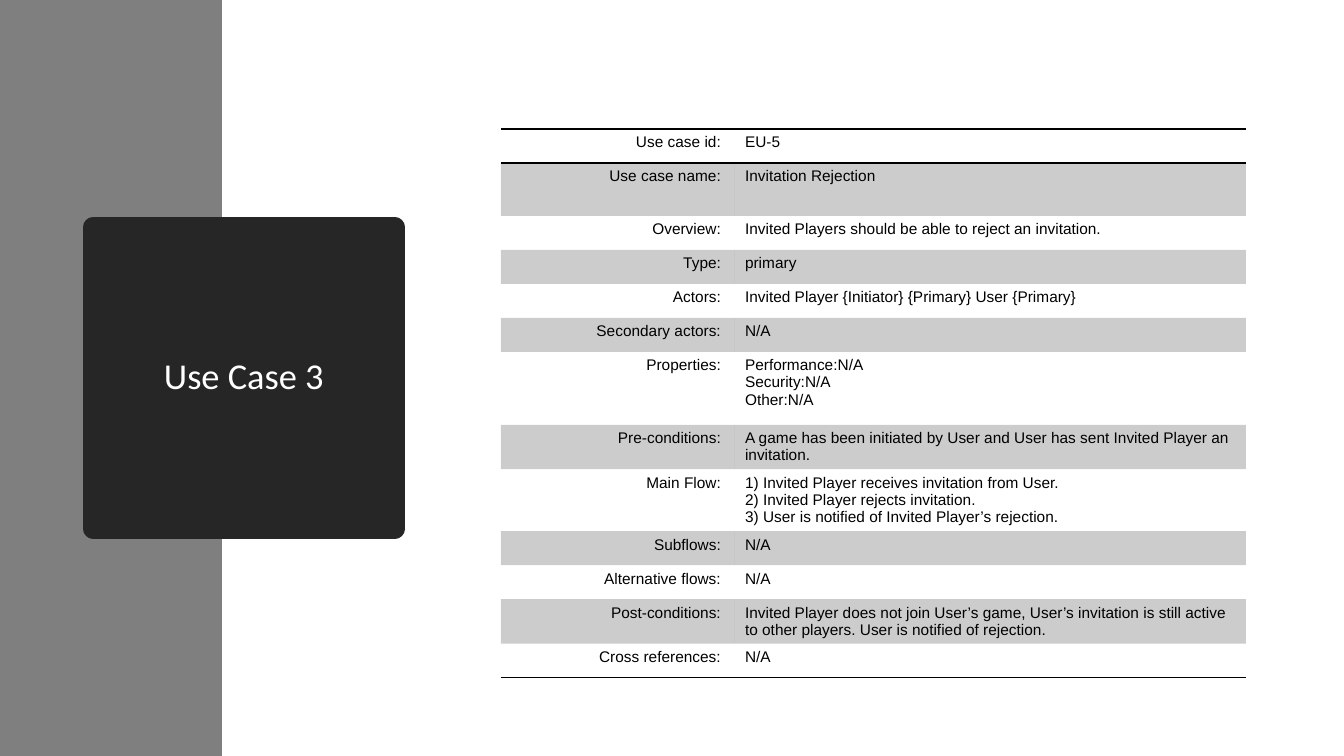
from dataclasses import dataclass

from lxml import etree
from pptx import Presentation
from pptx import util as u
from pptx.dml.color import RGBColor
from pptx.enum import shapes, text
from pptx.oxml import ns

SCALE = 914400 / 100.8


@dataclass(frozen=True)
class Theme:
    panel: str = "7F7F7F"
    card: str = "262626"
    ink: str = "000000"
    light: str = "FFFFFF"
    head: str = "Calibri"
    body: str = "Arial"
    large: int = 26
    small: int = 11
    edge: float = 13.75
    rule: int = 1
    band: int = 20
    plain: str = "{2D5ABB26-0587-4C30-8999-92F81FD0307C}"


THEME = Theme()

ROWS = [
    ("Use case id:", "EU-5", 34),
    ("Use case name:", "Invitation Rejection", 53),
    ("Overview:", "Invited Players should be able to reject an invitation.", 34),
    ("Type:", "primary", 34),
    ("Actors:", "Invited Player {Initiator} {Primary} User {Primary}", 34),
    ("Secondary actors:", "N/A", 34),
    ("Properties:", "Performance:N/A\nSecurity:N/A\nOther:N/A", 73),
    ("Pre-conditions:", "A game has been initiated by User and User has sent "
     "Invited Player an invitation.", 44),
    ("Main Flow:", "1) Invited Player receives invitation from User.\n"
     "2) Invited Player rejects invitation.\n"
     "3) User is notified of Invited Player’s rejection.", 62),
    ("Subflows:", "N/A", 34),
    ("Alternative flows:", "N/A", 34),
    ("Post-conditions:", "Invited Player does not join User’s game, User’s invitation "
     "is still active to other players. User is notified of rejection.", 44),
    ("Cross references:", "N/A", 34),
]


def px(n):
    return u.Emu(round(n * SCALE))


def paint(fill, color):
    fill.solid()
    fill.fore_color.rgb = RGBColor.from_string(color)


def style(para, face, size, color, align):
    para.font.name = face
    para.font.size = u.Pt(size)
    para.font.color.rgb = RGBColor.from_string(color)
    para.alignment = align


def add_panel(slide, box):
    panel = slide.shapes.add_shape(shapes.MSO_SHAPE.RECTANGLE, *map(px, box))
    panel.shadow.inherit = False
    paint(panel.fill, THEME.panel)
    panel.line.fill.background()
    slide.shapes.title._element.addprevious(panel._element)


def add_title(slide, box, words):
    card = slide.shapes.title
    card.left, card.top, card.width, card.height = map(px, box)
    paint(card.fill, THEME.card)
    paint(card.line.fill, THEME.card)
    card.line.width = u.Pt(THEME.edge)
    etree.SubElement(card.line._ln, ns.qn("a:round"))
    frame = card.text_frame
    frame.text = words
    frame.word_wrap = True
    frame.auto_size = text.MSO_AUTO_SIZE.NONE
    frame.vertical_anchor = text.MSO_ANCHOR.MIDDLE
    para = frame.paragraphs[0]
    para.line_spacing = 0.9
    style(para, THEME.head, THEME.large, THEME.light, text.PP_ALIGN.CENTER)


def add_rule(cell, side):
    props = cell._tc.get_or_add_tcPr()
    line = etree.SubElement(props, ns.qn("a:ln" + side), w=str(u.Pt(THEME.rule)))
    fill = etree.SubElement(line, ns.qn("a:solidFill"))
    etree.SubElement(fill, ns.qn("a:srgbClr"), val=THEME.ink)


def shade(cell):
    paint(cell.fill, THEME.ink)
    color = cell._tc.tcPr.find(".//" + ns.qn("a:solidFill") + "/" + ns.qn("a:srgbClr"))
    etree.SubElement(color, ns.qn("a:alpha"), val=str(THEME.band * 1000))


def add_case(slide, box, split):
    left, top, width, height = box
    table = slide.shapes.add_table(len(ROWS), 2, *map(px, box)).table
    table.first_row = table.horz_banding = False
    table._tbl.tblPr.find(ns.qn("a:tableStyleId")).text = THEME.plain
    table.columns[0].width = px(split)
    table.columns[1].width = px(width - split)
    last = len(ROWS) - 1
    for row, (label, value, tall) in enumerate(ROWS):
        table.rows[row].height = px(tall)
        sides = {0: "TB", last: "B"}.get(row, "")
        for col, words in enumerate((label, value)):
            cell = table.cell(row, col)
            cell.text = words
            for side in sides:
                add_rule(cell, side)
            if row % 2:
                shade(cell)
            else:
                cell.fill.background()
            if col == 0:
                cell.margin_right = px(14)
            align = text.PP_ALIGN.LEFT if col else text.PP_ALIGN.RIGHT
            for para in cell.text_frame.paragraphs:
                style(para, THEME.body, THEME.small, THEME.ink, align)


def main():
    deck = Presentation()
    deck.slide_width, deck.slide_height = px(1344), px(756)
    slide = deck.slides.add_slide(deck.slide_layouts[5])
    add_panel(slide, (0, 0, 222, 756))
    add_title(slide, (93, 227, 302, 302), "Use Case 3")
    add_case(slide, (501, 129, 745, sum(row[2] for row in ROWS)), 234)
    deck.save("out.pptx")


if __name__ == "__main__":
    main()
